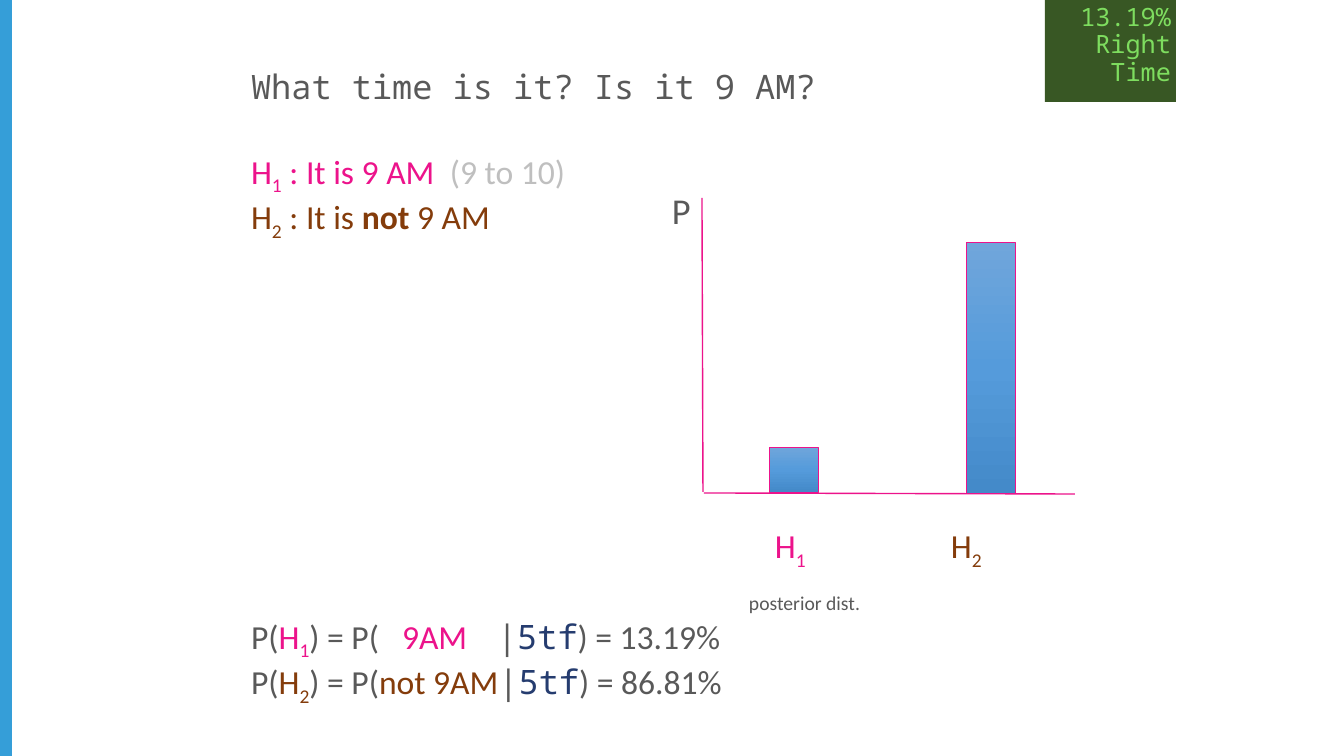
"""Build the slide that weighs two hypotheses about the time of day."""
import pptx
import pptx.util
import pptx.dml.color
import pptx.enum.shapes
import pptx.enum.text
import pptx.oxml.ns
import lxml.etree

RGB = pptx.dml.color.RGBColor
PINK = RGB(0xEC, 0x13, 0x8B)
BROWN = RGB(0x84, 0x3C, 0x0B)
GRAY = RGB(0x59, 0x59, 0x59)
PALE = RGB(0xBF, 0xBF, 0xBF)
NAVY = RGB(0x25, 0x3C, 0x6F)
BLUE = RGB(0x35, 0x9E, 0xD8)
MOSS = RGB(0x38, 0x57, 0x24)
LIME = RGB(0x7E, 0xDD, 0x5F)
SHADES = [(0, RGB(0x70, 0xA6, 0xDB)), (50000, RGB(0x55, 0x9B, 0xDB)),
          (100000, RGB(0x44, 0x8A, 0xC9))]
SANS, MONO = "Calibri", "Noto Sans Mono"
PX = 914400 / 100.8
RECT = pptx.enum.shapes.MSO_SHAPE.RECTANGLE
LINE = pptx.enum.shapes.MSO_CONNECTOR.STRAIGHT
RIGHT = pptx.enum.text.PP_ALIGN.RIGHT
qn = pptx.oxml.ns.qn


def emu(*px):
    return [round(n * PX) for n in px]


def write(frame, rows, size=24, font=SANS, color=GRAY, align=None, lead=None, tabs=()):
    frame.word_wrap = True
    frame.margin_left = frame.margin_right = frame.margin_top = frame.margin_bottom = emu(5)[0]
    frame.vertical_anchor = pptx.enum.text.MSO_ANCHOR.TOP
    for i, row in enumerate(rows):
        para = frame.paragraphs[0] if i == 0 else frame.add_paragraph()
        para.alignment = align
        para.line_spacing = lead
        if tabs:
            stops = lxml.etree.SubElement(para._p.get_or_add_pPr(), qn("a:tabLst"))
            for stop in emu(*tabs):
                lxml.etree.SubElement(stops, qn("a:tab"), pos=str(stop), algn="l")
        for text, look in row:
            run = para.add_run()
            run.text = text
            run.font.size = pptx.util.Pt(size)
            run.font.name = look.get("font", font)
            run.font.color.rgb = look.get("color", color)
            run.font.bold = look.get("bold", False)
            if look.get("sub"):
                run.font._element.set("baseline", "-25000")


deck = pptx.Presentation()
deck.slide_width, deck.slide_height = emu(1344, 756)
slide = deck.slides.add_slide(deck.slide_layouts[6])
shapes = slide.shapes

stripe = shapes.add_shape(RECT, *emu(0, 0, 12, 756))
badge = shapes.add_shape(RECT, *emu(1045, 0, 131, 102))
for block, fill in [(stripe, BLUE), (badge, MOSS)]:
    block.shadow.inherit = False
    block.fill.solid()
    block.fill.fore_color.rgb = fill
    block.line.fill.background()
write(badge.text_frame, [[(word, {})] for word in ("13.19%", "Right", "Time")],
      size=18, font=MONO, color=LIME, align=RIGHT, lead=0.9)

for ends in [(702, 198, 703, 492), (1075, 494, 704, 493)]:
    axis = shapes.add_connector(LINE, *emu(*ends))
    axis.line.color.rgb = PINK
    axis.line.width = pptx.util.Pt(1)
    lxml.etree.SubElement(axis._element.spPr, qn("a:effectLst"))

for left, top, high in [(769, 447, 45), (966, 242, 251)]:
    bar = shapes.add_shape(RECT, *emu(left, top, 49, high))
    bar.shadow.inherit = False
    bar.fill.gradient()
    bar.fill.gradient_angle = 270
    stops = bar._element.spPr.find(qn("a:gradFill")).find(qn("a:gsLst"))
    for old in list(stops):
        stops.remove(old)
    for pos, shade in SHADES:
        stop = lxml.etree.SubElement(stops, qn("a:gs"), pos=str(pos))
        lxml.etree.SubElement(stop, qn("a:srgbClr"), val=str(shade))
    bar.line.color.rgb = PINK
    bar.line.width = pptx.util.Pt(0.5)

pink, brown = {"color": PINK}, {"color": BROWN}
names = [[("H", look), (digit, {**look, "sub": True})]
         for digit, look in (("1", pink), ("2", brown))]
claims = [
    names[0] + [(" : It is 9 AM", pink), ("\t(9 to 10)", {"color": PALE})],
    names[1] + [(" : It is ", brown), ("not", {**brown, "bold": True}), (" 9 AM", brown)],
]
given = [("|", {"font": MONO}), ("5tf", {"font": MONO, "color": NAVY})]
odds = [
    [("P(", {}), *names[0], (") = P(", {}), ("\t9AM\t", pink), *given, (") = 13.19%", {})],
    [("P(", {}), *names[1], (") = P(", {}), ("not 9AM", brown), *given, (") = 86.81%", {})],
]
lead = pptx.util.Pt(32.5)
for place, rows, form in [
    ((246, 61, 760, 56), [[("What time is it? Is it 9 AM?", {})]], {"font": MONO}),
    ((246, 146, 400, 101), claims, {"lead": lead, "tabs": [199]}),
    ((667, 183, 49, 54), [[("P", {})]], {"size": 26}),
    ((770, 520, 60, 56), [names[0]], {}),
    ((946, 520, 60, 56), [names[1]], {}),
    ((744, 586, 160, 34), [[("posterior dist.", {})]], {"size": 14}),
    ((246, 611, 560, 101), odds, {"lead": lead, "tabs": [151, 246]}),
]:
    write(shapes.add_textbox(*emu(*place)).text_frame, rows, **form)

deck.save("out.pptx")
